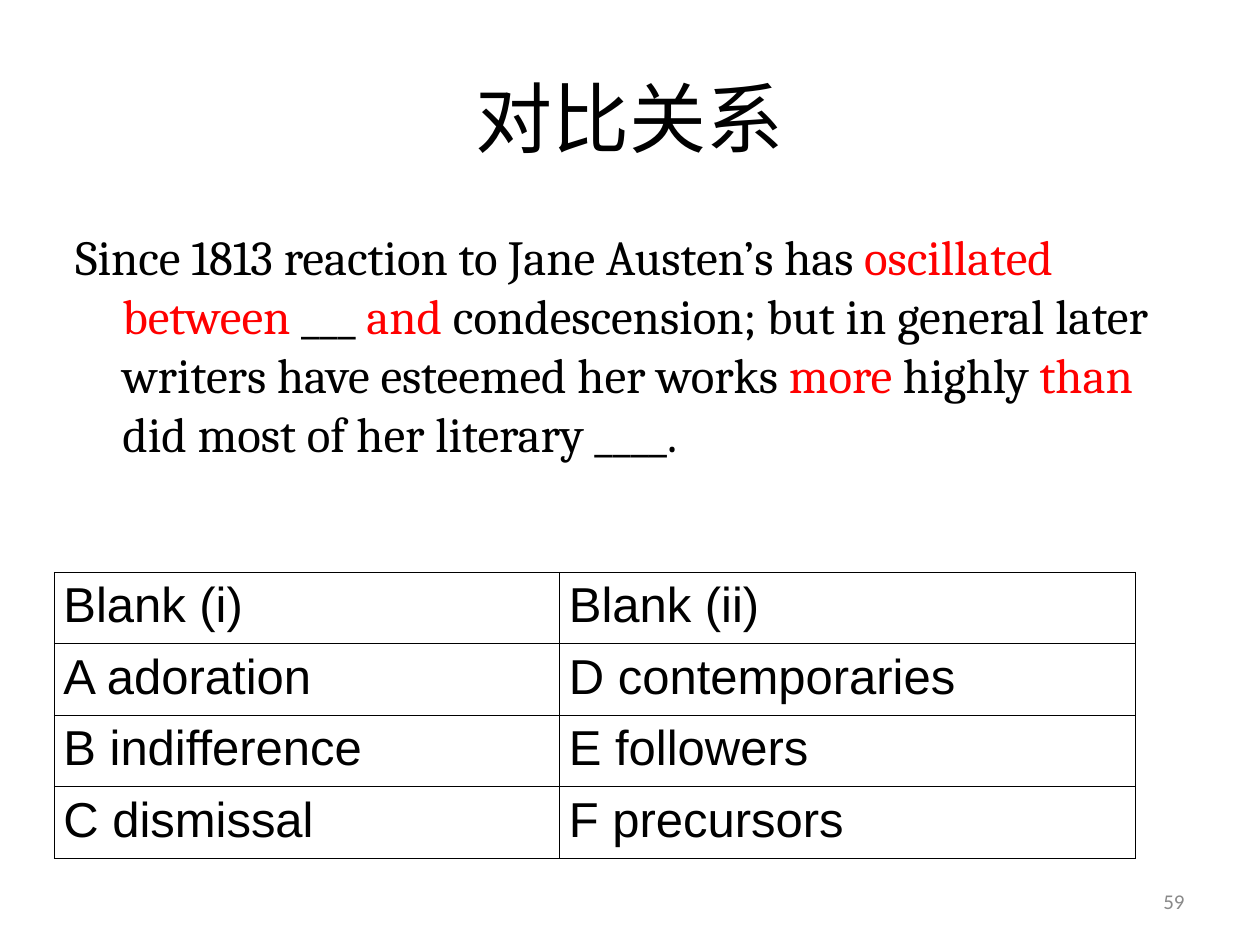
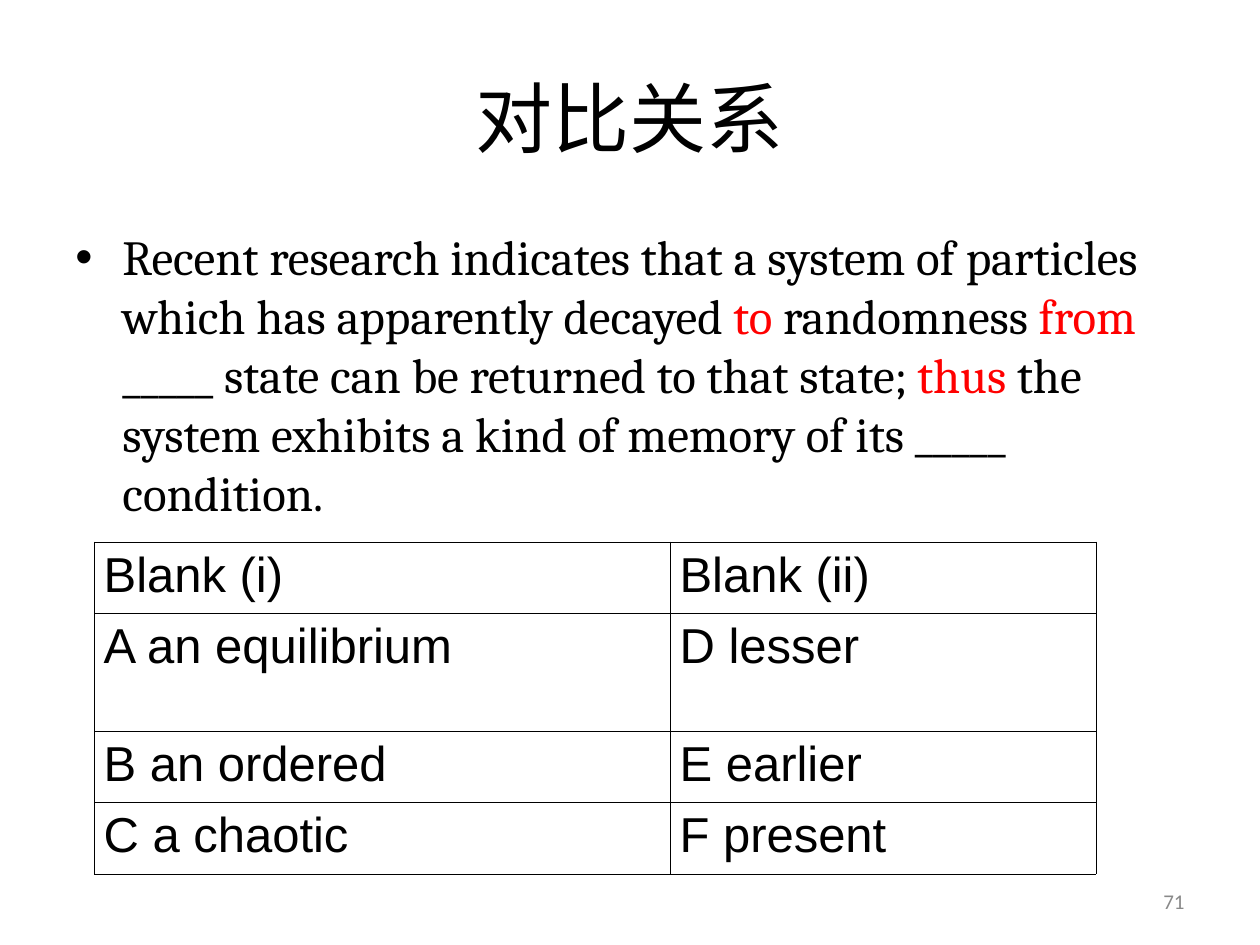
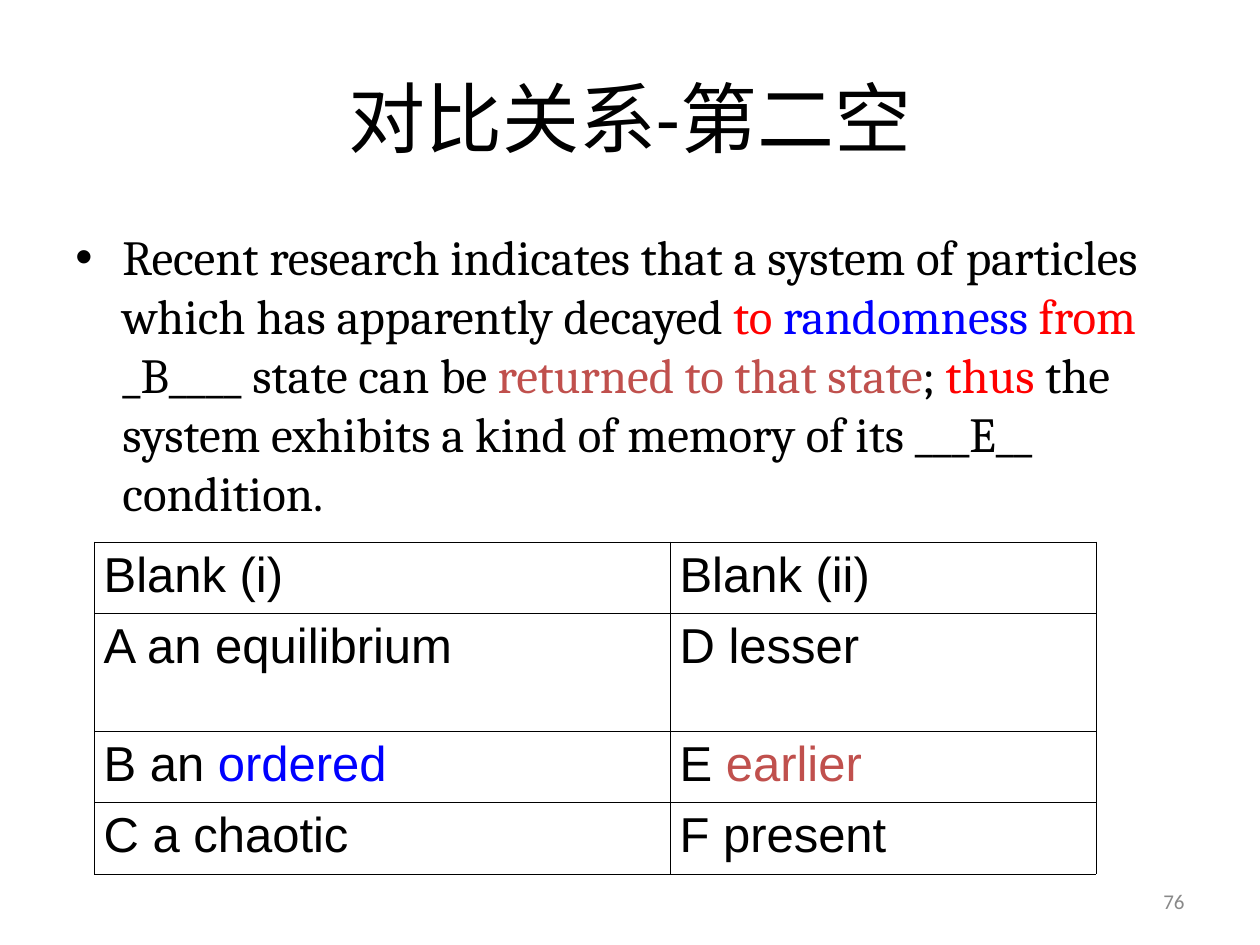
from dataclasses import dataclass

from lxml import etree
from pptx import Presentation
from pptx import util as u
from pptx.dml.color import RGBColor
from pptx.enum import text
from pptx.oxml import ns

Cm, Pt = u.Cm, u.Pt


# Colours, fonts and type sizes
@dataclass(frozen=True)
class Theme:
    ink: str = "000000"
    signal: str = "FF0000"
    first_clue: str = "0000FF"
    second_clue: str = "C0504D"
    muted: str = "898989"
    title_font: str = "Calibri"
    body_font: str = "Cambria"
    table_font: str = "Arial"
    title_size: int = 44
    body_size: int = 28
    number_size: int = 12
    border: float = 0.11


THEME = Theme()


def write(p, content, *, font, size, color=THEME.ink, align=None):
    """Fill a paragraph from a string or a list of strings and (string, colour) pairs."""
    p.alignment = align
    for piece in [content] if isinstance(content, str) else content:
        words, run_color = (piece, color) if isinstance(piece, str) else piece
        r = p.add_run()
        r.text = words
        r.font.name = font
        r.font.size = Pt(size)
        r.font.color.rgb = RGBColor.from_string(run_color)


def sub(parent, tag, **attrs):
    return etree.SubElement(parent, ns.qn(tag), attrs)


class Deck:
    def __init__(self, theme):
        self.theme = theme
        self.prs = Presentation()
        self.prs.slide_width, self.prs.slide_height = Cm(25.4), Cm(19.05)
        self.slide = None

    def new_slide(self, title, number):
        t = self.theme
        self.slide = self.prs.slides.add_slide(self.prs.slide_layouts[5])
        # Title
        sp = self.slide.shapes.title
        sp.left, sp.top, sp.width, sp.height = Cm(1.27), Cm(0.76), Cm(22.86), Cm(3.18)
        tf = sp.text_frame
        tf.auto_size = text.MSO_AUTO_SIZE.NONE
        tf.vertical_anchor = text.MSO_ANCHOR.MIDDLE
        write(tf.paragraphs[0], title, font=t.title_font, size=t.title_size,
              align=text.PP_ALIGN.CENTER)
        # Page number
        tf = self.text_box(18.21, 17.65, 5.92, 1.02)
        tf.vertical_anchor = text.MSO_ANCHOR.MIDDLE
        write(tf.paragraphs[0], str(number), font=t.title_font, size=t.number_size,
              color=t.muted, align=text.PP_ALIGN.RIGHT)

    def text_box(self, left, top, width, height):
        sp = self.slide.shapes.add_textbox(Cm(left), Cm(top), Cm(width), Cm(height))
        sp.text_frame.word_wrap = True
        return sp.text_frame

    def question(self, content, width=23.04, bullet=True):
        p = self.text_box(1.27, 4.45, width, 12.57).paragraphs[0]
        pPr = p._p.get_or_add_pPr()
        pPr.set("marL", str(Cm(0.95)))
        pPr.set("indent", str(-Cm(0.95)))
        if bullet:
            sub(pPr, "a:buFont", typeface="Arial")
            sub(pPr, "a:buChar", char="•")
        write(p, content, font=self.theme.body_font, size=self.theme.body_size)

    def choices(self, rows, left, top, widths, heights):
        t = self.theme
        rows = [("Blank (i)", "Blank (ii)"), *rows]
        table = self.slide.shapes.add_table(
            len(rows), len(widths), Cm(left), Cm(top),
            Cm(sum(widths)), Cm(sum(heights))).table
        table.first_row = table.horz_banding = False
        for column, width in zip(table.columns, widths):
            column.width = Cm(width)
        for row, height, contents in zip(table.rows, heights, rows):
            row.height = Cm(height)
            for cell, content in zip(row.cells, contents):
                cell.margin_left = cell.margin_right = Cm(0.19)
                self.outline(cell)
                cell.fill.background()
                write(cell.text_frame.paragraphs[0], content, font=t.table_font,
                      size=t.body_size, align=text.PP_ALIGN.JUSTIFY)

    def outline(self, cell):
        tcPr = cell._tc.get_or_add_tcPr()
        for side in "LRTB":
            ln = sub(tcPr, f"a:ln{side}", w=str(Pt(self.theme.border)))
            sub(sub(ln, "a:solidFill"), "a:srgbClr", val=self.theme.ink)


def main():
    deck = Deck(THEME)
    red, blue, brick = THEME.signal, THEME.first_clue, THEME.second_clue
    topic = "对比关系"
    opening = ("Recent research indicates that a system of particles "
               "which has apparently decayed ")
    particle_table = dict(left=1.9, top=10.92, widths=(11.61, 8.59),
                          heights=(1.19, 2.37, 1.19, 1.19))

    # Austen question
    deck.new_slide(topic, 59)
    deck.question([
        "Since 1813 reaction to Jane Austen’s has ", ("oscillated between ", red),
        "___ ", ("and", red),
        " condescension; but in general later writers have esteemed her works",
        (" more ", red), "highly ", ("than ", red),
        "did most of her literary ____."], width=23.24, bullet=False)
    deck.choices([("A adoration", "D contemporaries"),
                  ("B indifference", "E followers"),
                  ("C dismissal", "F precursors")],
                 left=1.09, top=11.53, widths=(10.19, 11.61), heights=(1.19,) * 4)

    # Particle question
    deck.new_slide(topic, 71)
    deck.question([
        opening, ("to ", red), "randomness ", ("from ", red),
        "_____ state can be returned to that state; ", ("thus", red),
        " the system exhibits a kind of memory of its _____ condition."])
    first, last = ("A an equilibrium", "D lesser"), ("C a chaotic", "F present")
    deck.choices([first, ("B an ordered", "E earlier"), last], **particle_table)

    # Particle answer, with clues marked
    deck.new_slide(topic + "-第二空", 76)
    deck.question([
        opening, ("to ", red), ("randomness ", blue), ("from ", red),
        "_B____ state can be ", ("returned to that state", brick), "; ",
        ("thus", red),
        " the system exhibits a kind of memory of its ___E__ condition."])
    answers = (["B an ", ("ordered", blue)], ["E ", ("earlier", brick)])
    deck.choices([first, answers, last], **particle_table)

    deck.prs.save("out.pptx")


if __name__ == "__main__":
    main()
